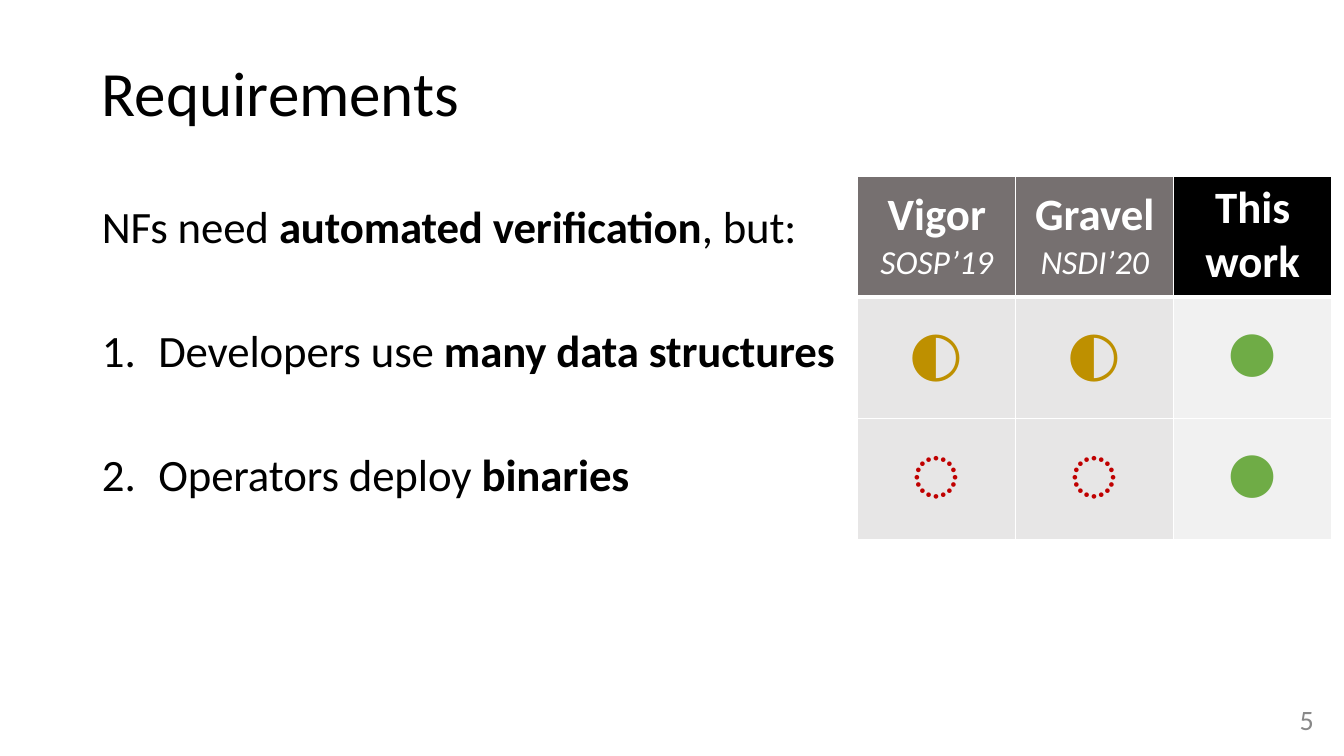
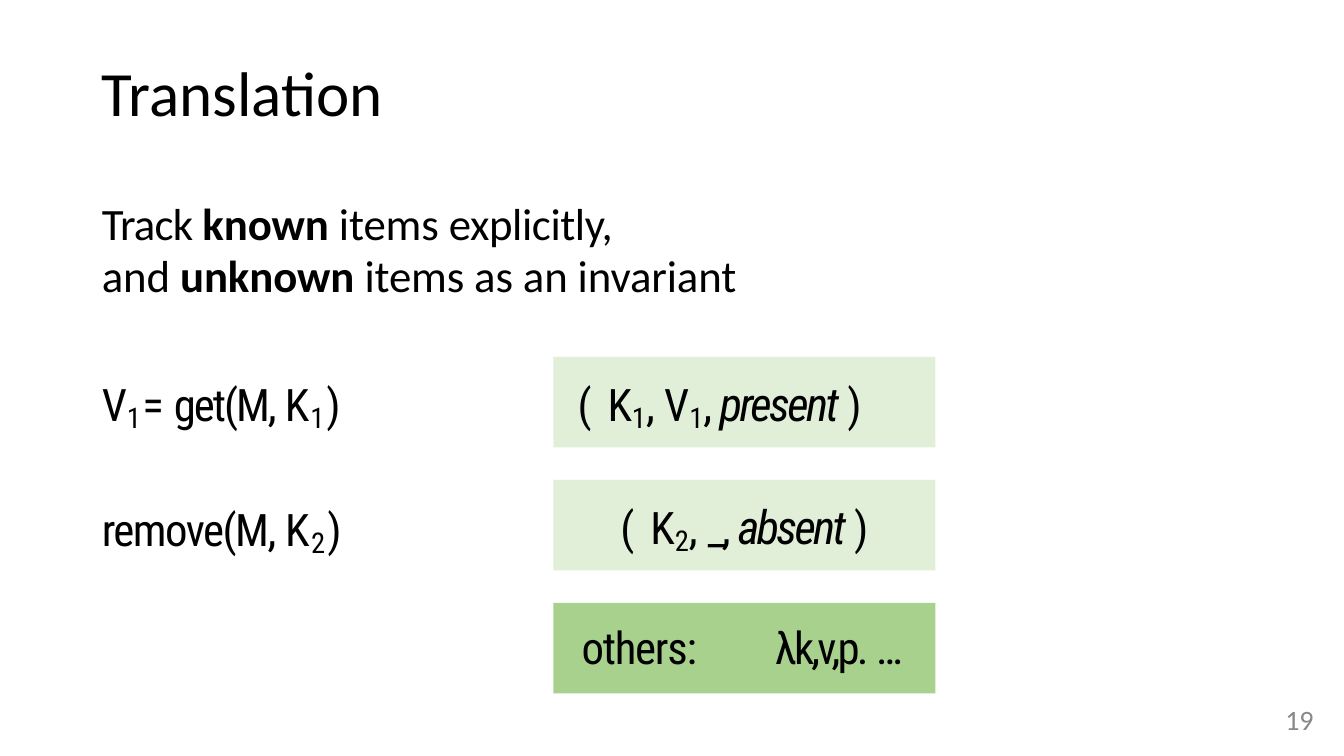
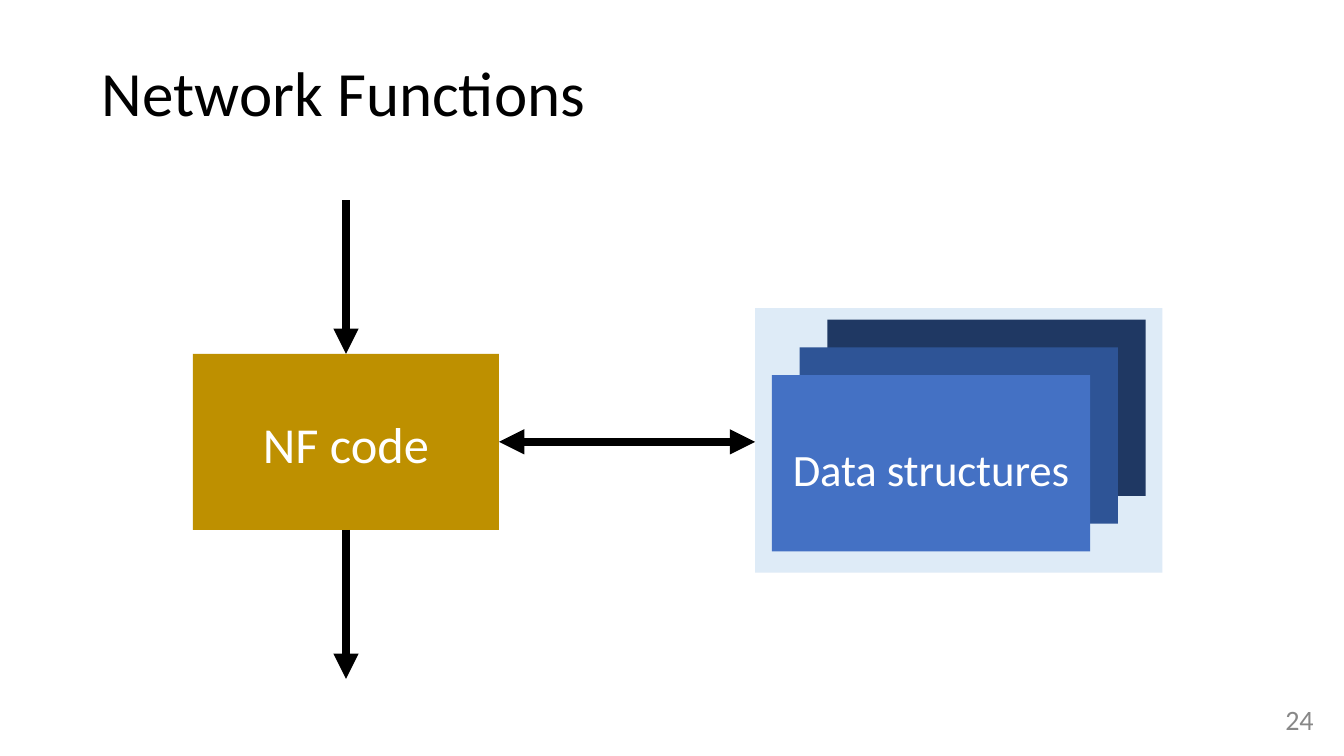
from dataclasses import dataclass

from lxml import etree
from pptx import Presentation
from pptx.dml.color import RGBColor
from pptx.enum.shapes import MSO_CONNECTOR, MSO_SHAPE
from pptx.enum.text import MSO_ANCHOR, PP_ALIGN
from pptx.oxml.ns import qn
from pptx.util import Inches, Pt

RECT = MSO_SHAPE.RECTANGLE
LINE = MSO_CONNECTOR.STRAIGHT
TOP, MIDDLE = MSO_ANCHOR.TOP, MSO_ANCHOR.MIDDLE
LEFT, CENTER, RIGHT = PP_ALIGN.LEFT, PP_ALIGN.CENTER, PP_ALIGN.RIGHT

WIDTH, HEIGHT = Inches(13.33), Inches(7.5)
MARGIN = 7.58  # left edge of all text, percent of the slide width


@dataclass(frozen=True)
class Theme:
    sans: str = "Calibri"
    code: str = "Roboto Condensed"
    black: str = "000000"
    white: str = "FFFFFF"
    grey: str = "888888"
    head: str = "767070"
    cell: str = "E7E6E6"
    ours: str = "F1F1F1"
    gold: str = "BE9000"
    red: str = "C00000"
    green: str = "6FAC46"
    pale: str = "E1EFD9"
    leaf: str = "A9D18E"
    panel: str = "DEEBF7"
    blues: tuple = ("1F3863", "2E5496", "4471C4")
    title: float = 45
    body: float = 32
    label: float = 36
    venue: float = 24
    page: float = 20
    index: float = 35.2
    state: float = 33.5


T = Theme()


def across(share):
    return int(WIDTH * share / 100)


def down(share):
    return int(HEIGHT * share / 100)


def area(x, y, w, h):
    """Turn percent shares of the slide into lengths."""
    return across(x), down(y), across(w), down(h)


def style(run, size=T.body, color=T.black, font=T.sans, bold=False,
          italic=False, track=0, base=0):
    face = run.font
    face.size, face.name = Pt(size), font
    face.bold, face.italic = bold, italic
    face.color.rgb = RGBColor.from_string(color)
    props = run._r.get_or_add_rPr()
    if track:
        props.set("spc", str(round(track * 100)))
    if base:
        props.set("baseline", str(base * 1000))


def write(frame, *runs, align=LEFT, before=0, line=None, number=False,
          tab=None, **fmt):
    """Add a paragraph; a run is a string or a (string, format) pair."""
    para = frame.paragraphs[0]
    if para.runs:
        para = frame.add_paragraph()
    para.alignment, para.space_before = align, Pt(before)
    if line:
        para.line_spacing = Pt(line)
    props = para._p.get_or_add_pPr()
    if number:
        props.set("marL", str(Inches(0.56)))
        props.set("indent", str(-Inches(0.56)))
        etree.SubElement(props, qn("a:buAutoNum"), type="arabicPeriod")
    if tab:
        stops = etree.SubElement(props, qn("a:tabLst"))
        etree.SubElement(stops, qn("a:tab"), pos=str(Inches(tab)), algn="l")
    for item in runs:
        text, extra = (item, {}) if isinstance(item, str) else item
        run = para.add_run()
        run.text = text
        style(run, **{**fmt, **extra})


def bold(text):
    return text, {"bold": True}


def track(text, gap):
    return text, {"track": gap}


def sub(text, gap):
    return text, {"track": gap, "size": T.index, "base": -15}


def state(text, gap):
    return text, {"track": gap, "size": T.state, "italic": True}


def setup(frame, left=0, top=0, anchor=TOP):
    frame.word_wrap = True
    frame.margin_right = frame.margin_bottom = 0
    frame.margin_left, frame.margin_top = Inches(left), Inches(top)
    frame.vertical_anchor = anchor
    return frame


def label(slide, x, y, w, h):
    return setup(slide.shapes.add_textbox(*area(x, y, w, h)).text_frame)


def block(slide, x, y, w, h, color, **inset):
    shape = slide.shapes.add_shape(RECT, *area(x, y, w, h))
    shape.shadow.inherit = False
    shape.fill.solid()
    shape.fill.fore_color.rgb = RGBColor.from_string(color)
    shape.line.fill.background()
    return setup(shape.text_frame, **inset)


def arrow(slide, x1, y1, x2, y2, both=False):
    link = slide.shapes.add_connector(
        LINE, across(x1), down(y1), across(x2), down(y2))
    link.line.width = Pt(6)
    link.line.color.rgb = RGBColor.from_string(T.black)
    stroke = link.line._get_or_add_ln()
    for end in ("headEnd", "tailEnd") if both else ("tailEnd",):
        etree.SubElement(stroke, qn("a:" + end), type="triangle")
    etree.SubElement(link._element.spPr, qn("a:effectLst"))


def border(cell, **widths):
    props = cell._tc.get_or_add_tcPr()
    for spot, side in enumerate("LRTB"):
        edge = etree.Element(qn("a:ln" + side),
                             w=str(Pt(widths.get(side, 1))))
        fill = etree.SubElement(edge, qn("a:solidFill"))
        etree.SubElement(fill, qn("a:srgbClr"), val=T.white)
        props.insert(spot, edge)


def fill(cell, color, top):
    cell.margin_left = cell.margin_right = cell.margin_bottom = 0
    cell.margin_top = Inches(top)
    cell.fill.solid()
    cell.fill.fore_color.rgb = RGBColor.from_string(color)
    return cell.text_frame


def page(deck, title, number):
    slide = deck.slides.add_slide(deck.slide_layouts[6])
    write(label(slide, MARGIN, 7.1, 80, 10.27), title, size=T.title)
    write(label(slide, 90, 93.6, 7.75, 4.13), number, align=RIGHT,
          size=T.page, color=T.grey, line=20)
    return slide


def matrix(slide):
    table = slide.shapes.add_table(
        3, 3, *area(63.83, 23.33, 35.25, 48)).table
    table.first_row = table.horz_banding = False
    heads = (("Vigor", "SOSP’19"), ("Gravel", "NSDI’20"))
    for col, (name, venue) in enumerate(heads):
        frame = fill(table.cell(0, col), T.head, 0.11)
        write(frame, name, align=CENTER, before=7.7, bold=True,
              color=T.white)
        write(frame, venue, align=CENTER, before=0.4, italic=True,
              size=T.venue, color=T.white)
    write(fill(table.cell(0, 2), T.black, 0.04), "This work",
          align=CENTER, before=2.8, bold=True, color=T.white)

    half = dict(size=44, color=T.gold, font=T.code, before=14.3)
    none = dict(size=60, color=T.red, before=3.5)
    marks = (("◐", 0.2, half), ("◌", 0.05, none))
    for row, (mark, top, fmt) in enumerate(marks, 1):
        for col in range(2):
            write(fill(table.cell(row, col), T.cell, top), mark,
                  align=CENTER, **fmt)
        write(fill(table.cell(row, 2), T.ours, 0), "●", align=CENTER,
              size=66, color=T.green, line=78.7)
    for col in range(3):
        border(table.cell(0, col), B=3)
        border(table.cell(1, col), T=3)
        border(table.cell(2, col))


def needs(deck):
    slide = page(deck, "Requirements", "5")
    frame = label(slide, MARGIN, 26.3, 56, 40.5)
    write(frame, "NFs need ", bold("automated verification"), ", but:",
          track=-0.1)
    write(frame, "Developers use ", bold("many data structures"),
          number=True, before=50, track=-0.1)
    write(frame, "Operators deploy ", bold("binaries"),
          number=True, before=50, track=-0.1)
    matrix(slide)


def translate(deck):
    slide = page(deck, "Translation", "19")
    frame = label(slide, MARGIN, 26.3, 50, 13.9)
    write(frame, track("Track ", -0.6), bold("known "), "items ",
          track("explicitly,", -0.3), line=36.5, track=-0.1)
    write(frame, "and ", bold("unknown "), "items as an invariant",
          line=36.5, track=-0.1)

    calls = (
        (track("V", -2.5), sub("1 ", -3.7), track("= ", -0.2),
         track("get(M, ", -1.5), track("K", 0.8), sub("1", 1.3),
         track(")", 0.8)),
        (track("remove(M, ", -1.1), track("K", 1.1), sub("2", 1.6),
         track(")", 1.1)),
    )
    for row, runs in enumerate(calls):
        write(label(slide, MARGIN, 49.2 + 16.53 * row, 24, 7.47), *runs,
              font=T.code, before=1.1)

    known = (track("( ", 2), track("K", -0.7), sub("1", -1),
             track(", ", -0.7), track("V", -2.1), sub("1", -3.1),
             track(", ", -2.1), state("present ", -1.8), track(")", 2))
    gone = (track("( ", 2), track("K", -0.5), sub("2", -0.8),
            track(", ", -0.5), track("_, ", -2.5),
            state("absent ", -1.9), track(")", 2))
    rest = (track("others:\t", -0.9), track("λk,v,p. ", -2),
            track("…", -4.7))
    facts = (
        (known, T.pale, dict(left=0.24, top=0.15), dict(before=10.7)),
        (gone, T.pale, dict(top=0.15), dict(before=10.8, align=CENTER)),
        (rest, T.leaf, dict(left=0.28, top=0.17),
         dict(before=12.3, tab=1.92)),
    )
    for row, (runs, color, inset, fmt) in enumerate(facts):
        frame = block(slide, 41.17, 47.2 + 16.27 * row, 28.42, 12, color,
                      **inset)
        write(frame, *runs, font=T.code, **fmt)


def network(deck):
    slide = page(deck, "Network Functions", "24")
    left, top, wide, high = 14.36, 46.8, 22.77, 23.3
    mid, axis = left + wide / 2, top + high / 2
    panel = 56.19
    block(slide, panel, 40.75, 30.3, 35, T.panel)
    for back, color in zip((2, 1, 0), T.blues):
        card = block(slide, 57.43 + 2.07 * back, 49.63 - 3.67 * back,
                     23.68, high, color, top=0.11, anchor=MIDDLE)
    write(card, "Data structures", align=CENTER, color=T.white, track=-0.1)
    frame = block(slide, left, top, wide, high, T.gold, top=0.03,
                  anchor=MIDDLE)
    write(frame, "NF code", align=CENTER, size=T.label, color=T.white)
    arrow(slide, mid, 26.5, mid, top)
    arrow(slide, mid, top + high, mid, 89.8)
    arrow(slide, left + wide, axis, panel, axis, both=True)


def main():
    deck = Presentation()
    deck.slide_width, deck.slide_height = WIDTH, HEIGHT
    needs(deck)
    translate(deck)
    network(deck)
    deck.save("out.pptx")


if __name__ == "__main__":
    main()
